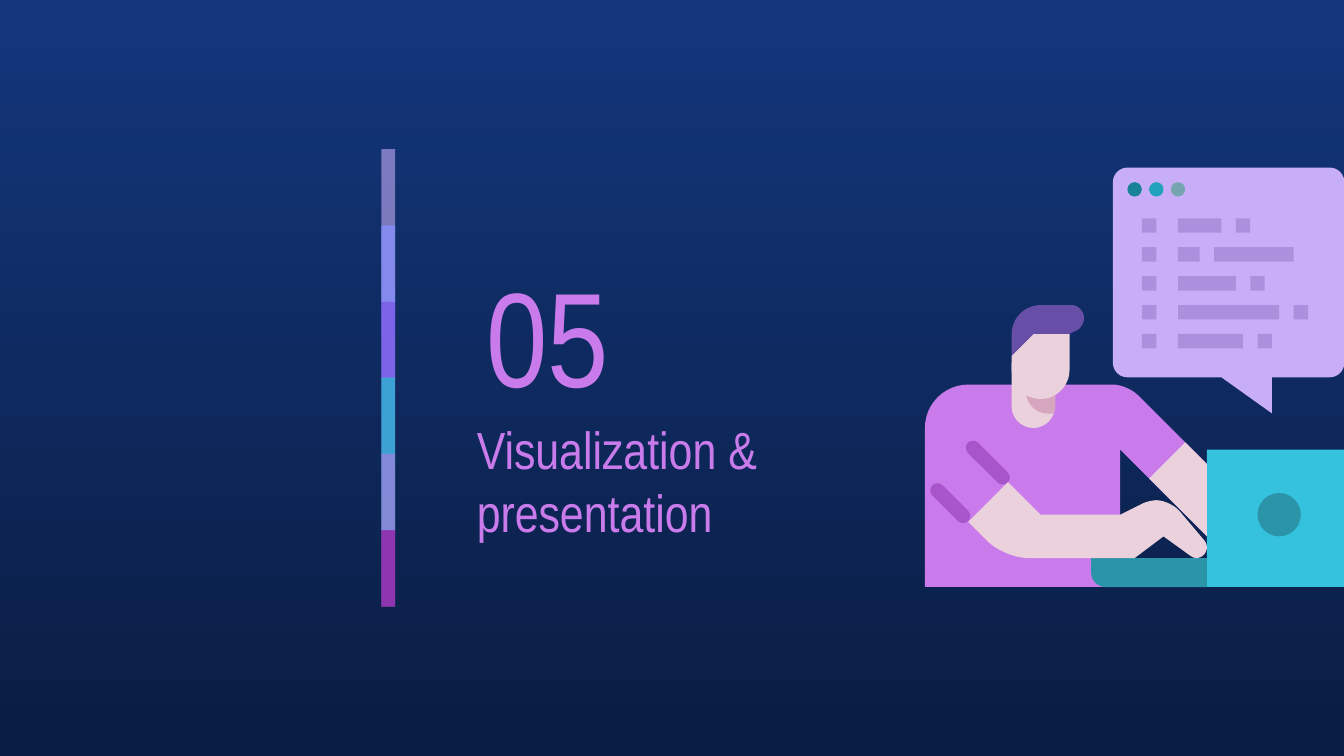
from lxml import etree
from pptx import Presentation
from pptx.dml.color import RGBColor
from pptx.enum import shapes, text
from pptx.oxml.ns import qn
from pptx.util import Cm, Pt

FONT = "Arial Narrow"
TOP = RGBColor(0x13, 0x36, 0x7C)
BASE = RGBColor(0x0A, 0x1D, 0x42)
PINK = RGBColor(0xCA, 0x7B, 0xEB)
PLUM = RGBColor(0xA8, 0x55, 0xCB)
GRAPE = RGBColor(0x97, 0x2C, 0xB4)
HAIR = RGBColor(0x67, 0x4E, 0xA7)
SKIN = RGBColor(0xEA, 0xD1, 0xDC)
SHADE = RGBColor(0xD5, 0xA6, 0xBD)
CYAN = RGBColor(0x35, 0xC2, 0xDF)
TEAL = RGBColor(0x2B, 0x94, 0xA9)
LILAC = RGBColor(0xC8, 0xAE, 0xF8)
MAUVE = RGBColor(0xAB, 0x90, 0xDE)
BLUE = RGBColor(0x87, 0x8F, 0xFF)
VIOLET = RGBColor(0x91, 0x54, 0xF8)
DOTS = [RGBColor(0x19, 0x82, 0x98), RGBColor(0x22, 0xA2, 0xBC), RGBColor(0x76, 0xA5, 0xAF)]

NUMBER = "05"
TITLE = "Visualization & presentation"

# Colour and opacity in percent, from the top down
BANDS = [(LILAC, 59), (BLUE, 74), (VIOLET, 53), (CYAN, 76), (PINK, 56), (GRAPE, 74)]

# The drawing lies on a grid of 29 by 29 units.
# (x, y) is a straight line; (cx, cy, x, y) rounds the corner cx, cy.
UNIT, LEFT, UP = 0.2733, 17.48, 3.17
BODY = [(0, 18), (0, 15, 3, 15), (13, 15), (14, 15, 14.75, 15.75), (19.5, 20.5),
        (19.5, 25.5), (13.5, 19.5), (13.5, 29), (0, 29)]
KEYS = [(11.5, 27), (11.5, 28), (11.5, 29, 12.5, 29), (19.5, 29), (19.5, 27)]
NECK = [(6, 13.5), (6, 16.5), (6, 18, 7.5, 18), (9, 18, 9, 16.5), (9, 13.5)]
CHIN = [(7, 13.5), (7, 15.5), (7, 17, 8.5, 17), (8.9, 17), (9, 16.75, 9, 16.5), (9, 13.5)]
HAND = [(5.75, 21.75), (3, 24.5), (4.35, 25.85), (5.5, 27, 7.15, 27), (14.5, 27),
        (16.5, 25.5), (18.3, 26.8), (18.55, 27, 18.75, 27), (19.5, 27, 19.5, 26.25),
        (19.5, 25.95, 19.3, 25.75), (17.65, 23.8), (17, 23, 16, 23),
        (15.5, 23, 15, 23.25), (13.5, 24), (8, 24)]
ARM = [(18, 19), (15.5, 21.5), (19.5, 25.5), (19.5, 20.5)]
BUBBLE = [(13, 1), (13, 13.5), (13, 14.5, 14, 14.5), (20.5, 14.5), (24, 17), (24, 14.5),
          (28, 14.5), (29, 14.5, 29, 13.5), (29, 1), (29, 0, 28, 0), (14, 0), (13, 0, 13, 1)]
FACE = [(7.5, 11.5), (6, 13), (6, 14), (6, 16, 8, 16), (10, 16, 10, 14), (10, 11.5)]
HEAD = [(6, 11.5), (6, 9.5, 8, 9.5), (10.1, 9.5), (11, 9.5, 11, 10.4),
        (11, 11, 10.5, 11.25), (10, 11.5), (7.5, 11.5), (6, 13)]
FOLDS = [(1.75, 23.2, 3.5), (4.35, 20.4, 3.9)]  # middle x, y and length
CODE = [(3, 1), (1.5, 5.5), (4, 1), (7, 1), (4.5, 1)]  # word widths in each row


def paint(shape, color, alpha=100):
    shape.shadow.inherit = False
    shape.fill.solid()
    shape.fill.fore_color.rgb = color
    shape.line.fill.background()
    if alpha < 100:
        tint = next(shape._element.spPr.iter(qn("a:srgbClr")))
        etree.SubElement(tint, qn("a:alpha"), val=str(alpha * 1000))
    return shape


def trace(path, steps=12):
    """Turn a path into points in EMU, with its rounded corners as short lines."""
    spots = [path[0]]
    for part in path[1:]:
        if len(part) == 2:
            spots.append(part)
            continue
        start, bend, end = spots[-1], part[:2], part[2:]
        for i in range(1, steps + 1):
            t = i / steps
            s = 1 - t
            spots.append(tuple(
                s**3 * a + 3 * s * s * t * (a + (c - a) * 0.55)
                + 3 * s * t * t * (b + (c - b) * 0.55) + t**3 * b
                for a, c, b in zip(start, bend, end)))
    return [(Cm(LEFT + x * UNIT), Cm(UP + y * UNIT)) for x, y in spots]


def draw(path, color):
    spots = trace(path)
    pen = art.shapes.build_freeform(*spots[0], scale=1.0)
    pen.add_line_segments(spots[1:], close=True)
    return paint(pen.convert_to_shape(), color)


def place(kind, x, y, w, h, color):
    """Put a preset shape on the grid of the drawing."""
    return paint(art.shapes.add_shape(kind, Cm(LEFT + x * UNIT), Cm(UP + y * UNIT),
                                      Cm(w * UNIT), Cm(h * UNIT)), color)


def write(box, words, size, at):
    box.left, box.top, box.width, box.height = (Cm(v) for v in at)
    frame = box.text_frame
    frame.word_wrap = True
    frame.auto_size = text.MSO_AUTO_SIZE.NONE
    frame.vertical_anchor = text.MSO_ANCHOR.MIDDLE
    frame.margin_left = frame.margin_right = Cm(0.25)
    frame.margin_top = frame.margin_bottom = Cm(0.25)
    para = frame.paragraphs[0]
    para.alignment = text.PP_ALIGN.LEFT
    run = para.add_run()
    run.text = words
    run.font.name, run.font.size = FONT, Pt(size)
    run.font.color.rgb = PINK


deck = Presentation()
deck.slide_width, deck.slide_height = Cm(25.4), Cm(14.29)
slide = deck.slides.add_slide(deck.slide_layouts[5])
back = slide.background.fill
back.gradient()
back.gradient_angle = 270
for stop, color in zip(back.gradient_stops, (TOP, BASE)):
    stop.color.rgb = color

RECT, OVAL = shapes.MSO_SHAPE.RECTANGLE, shapes.MSO_SHAPE.OVAL
ROUND = shapes.MSO_SHAPE.ROUNDED_RECTANGLE

# Each band reaches under the next one; the last is half as tall
bar = slide.shapes.add_group_shape()
for i, (color, alpha) in enumerate(BANDS):
    tall = 2.89 if i < len(BANDS) - 1 else 1.45
    paint(bar.shapes.add_shape(RECT, Cm(7.21), Cm(2.82 + i * 1.44), Cm(0.26), Cm(tall)),
          color, alpha)

write(slide.shapes.add_textbox(0, 0, 0, 0), NUMBER, 72, (8.94, 4.6, 4.45, 3.43))
write(slide.shapes.title, TITLE, 28, (8.76, 8.23, 7.29, 1.7))

art = slide.shapes.add_group_shape()
draw(BODY, PINK)
for x, y, size in FOLDS:
    fold = place(ROUND, x - size / 2, y - 0.5, size, 1, PLUM)
    fold.adjustments[0] = 0.5
    fold.rotation = 45
place(RECT, 19.5, 19.5, 9.5, 9.5, CYAN)
for path, color in [(KEYS, TEAL), (NECK, SKIN), (CHIN, SHADE), (HAND, SKIN), (ARM, SKIN),
                    (BUBBLE, LILAC), (FACE, SKIN), (HEAD, HAIR)]:
    draw(path, color)
place(OVAL, 23, 22.5, 3, 3, TEAL)
for row, (first, second) in enumerate(CODE):
    for x, wide in [(15, 1), (17.5, first), (18.5 + first, second)]:
        place(RECT, x, 3.5 + 2 * row, wide, 1, MAUVE)
for i, color in enumerate(DOTS):
    place(OVAL, 14 + 1.5 * i, 1, 1, 1, color)

deck.save("out.pptx")
